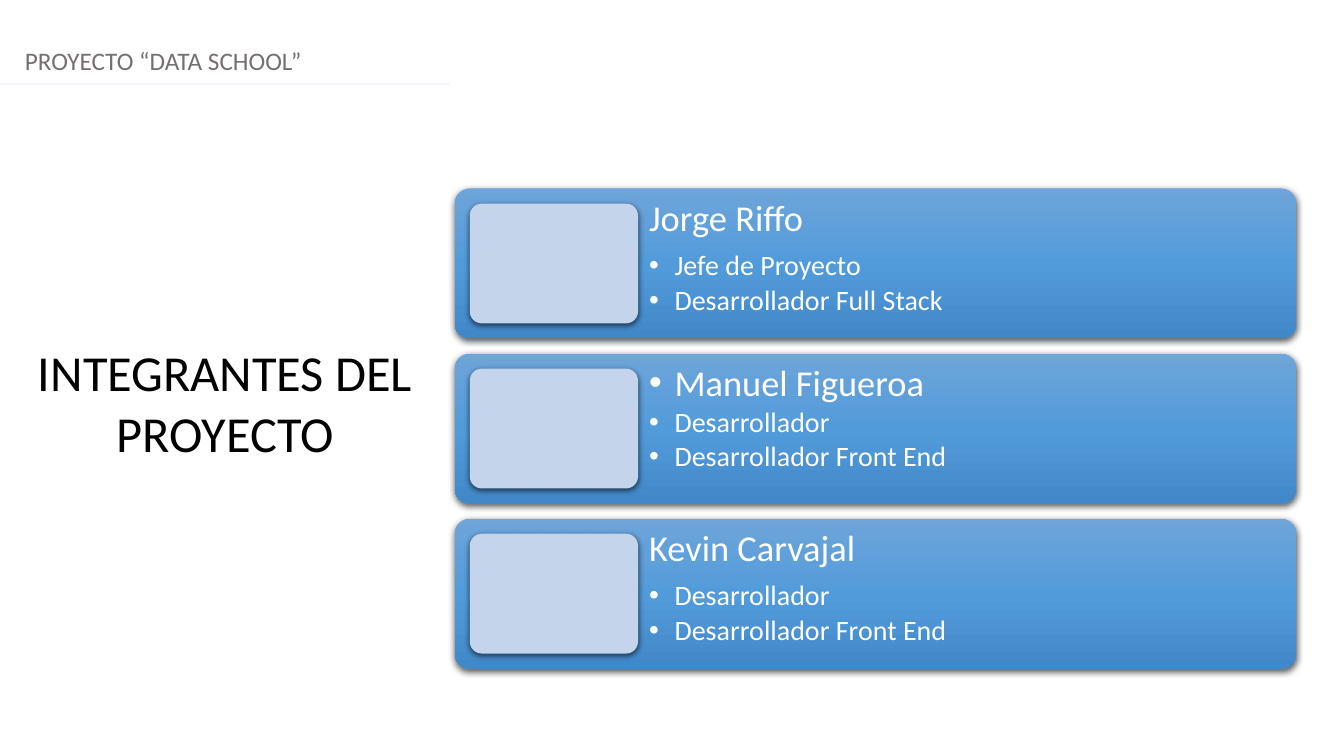
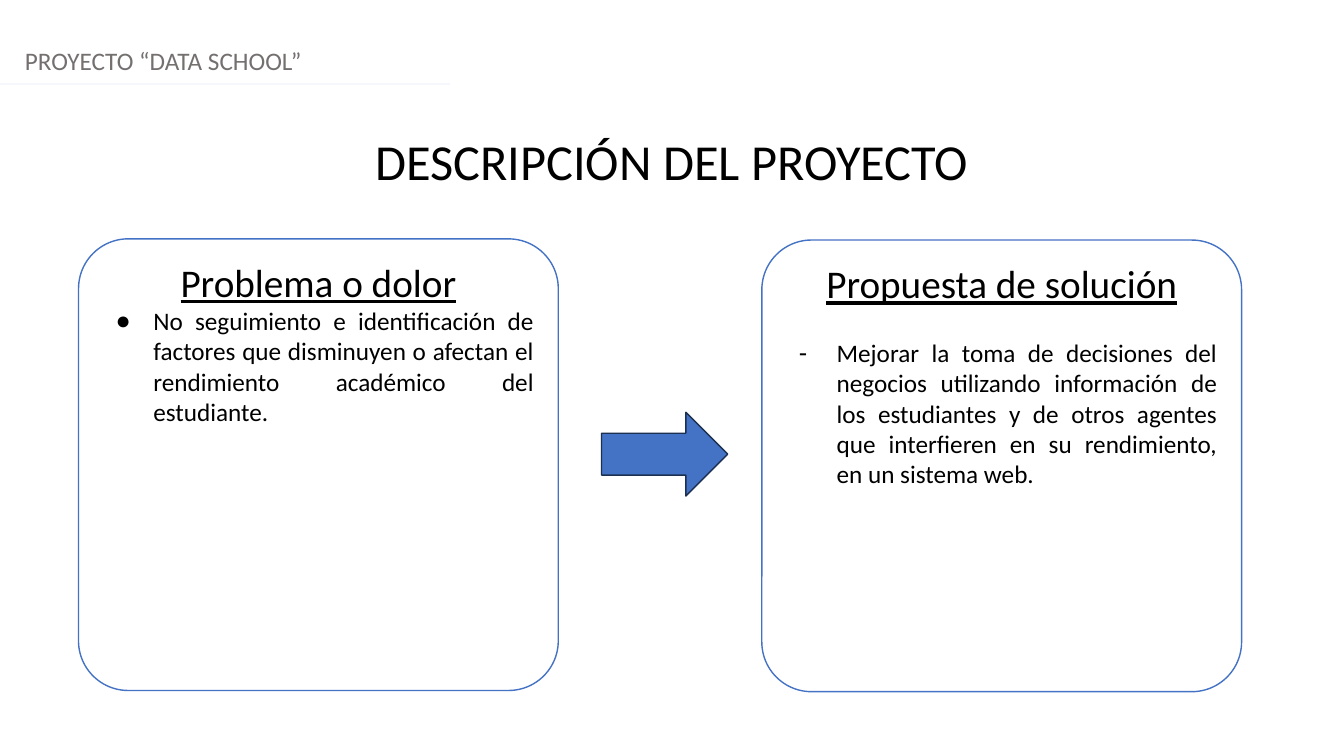
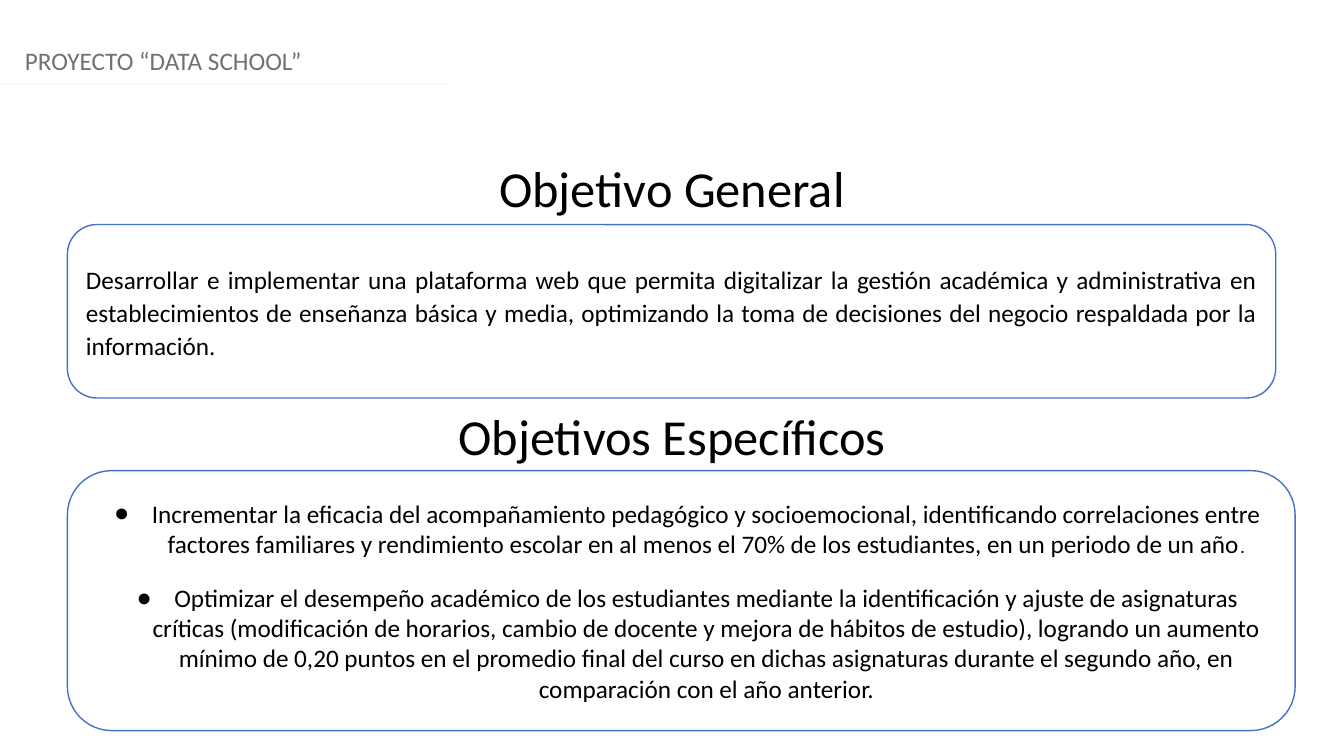
from lxml.etree import SubElement
from pptx import Presentation
from pptx.dml.color import RGBColor
from pptx.enum.shapes import MSO_CONNECTOR, MSO_SHAPE
from pptx.enum.text import MSO_ANCHOR, MSO_AUTO_SIZE, PP_ALIGN
from pptx.oxml.ns import qn
from pptx.util import Cm, Pt

HEX = {
    "ink": "000000", "white": "FFFFFF", "grey": "757070", "rule": "F5F7FC",
    "blue": "4472C4", "navy": "1C3052", "photo": "C3D4EB",
    "top": "6EA5DA", "mid": "529BDA", "low": "4188C8",
}
FONT = "Calibri"
HEAD = "PROYECTO “DATA SCHOOL”"
WIDE = 33.87

TEAM = [
    ("Jorge Riffo", False, ["Jefe de Proyecto", "Desarrollador Full Stack"]),
    ("Manuel Figueroa", True, ["Desarrollador", "Desarrollador Front End"]),
    ("Kevin Carvajal", False, ["Desarrollador", "Desarrollador Front End"]),
]
IDEAS = [
    ("Problema o dolor", "●", 0, (1.98, 6.02),
     "No seguimiento e identificación de factores que disminuyen o afectan "
     "el rendimiento académico del estudiante."),
    ("Propuesta de solución", "-", 22, (19.2, 6.05),
     "Mejorar la toma de decisiones del negocios utilizando información de "
     "los estudiantes y de otros agentes que interfieren en su rendimiento, "
     "en un sistema web."),
]
GOAL = (
    "Desarrollar e implementar una plataforma web que permita digitalizar la "
    "gestión académica y administrativa en establecimientos de enseñanza "
    "básica y media, optimizando la toma de decisiones del negocio "
    "respaldada por la información."
)
AIMS = [
    [("Incrementar la eficacia del acompañamiento pedagógico y "
      "socioemocional, identificando correlaciones entre factores familiares "
      "y rendimiento escolar en al menos el 70% de los estudiantes, en un "
      "periodo de un año", 18, FONT), (".", 14, "Arial")],
    [("Optimizar el desempeño académico de los estudiantes mediante la "
      "identificación y ajuste de asignaturas críticas (modificación de "
      "horarios, cambio de docente y mejora de hábitos de estudio), logrando "
      "un aumento mínimo de 0,20 puntos en el promedio final del curso en "
      "dichas asignaturas durante el segundo año, en comparación con el año "
      "anterior.", 18, FONT)],
]


def color(name):
    return RGBColor.from_string(HEX[name])


def place(box):
    return [Cm(n) for n in box]


def bullet(para, mark, tint, left, hang):
    props = para._p.get_or_add_pPr()
    props.set("marL", str(Cm(left)))
    props.set("indent", str(-Cm(hang)))
    SubElement(SubElement(props, qn("a:buClr")), qn("a:srgbClr"), val=HEX[tint])
    SubElement(props, qn("a:buFont"), typeface="Arial")
    SubElement(props, qn("a:buChar"), char=mark)


def write(frame, runs, tint="ink", align=PP_ALIGN.LEFT, mark=None,
          dent=(1.27, 0.95), before=0, line=1, under=False):
    para = frame.paragraphs[0]
    if para.runs:
        para = frame.add_paragraph()
    if mark:
        bullet(para, mark, tint, *dent)
    para.alignment = align
    para.line_spacing = line
    para.space_before = Pt(before)
    for text, size, face in runs:
        run = para.add_run()
        run.text = text
        run.font.size = Pt(size)
        run.font.name = face
        run.font.underline = under
        run.font.color.rgb = color(tint)
    return para


def label(slide, box, text, size, tint="ink", align=PP_ALIGN.LEFT):
    frame = slide.shapes.add_textbox(*place(box)).text_frame
    frame.word_wrap = True
    write(frame, [(text, size, FONT)], tint, align)


def shape(slide, kind, box, fill=None, line=None, adj=None):
    item = slide.shapes.add_shape(kind, *place(box))
    item.shadow.inherit = False
    if adj:
        item.adjustments[0] = adj
    if fill:
        item.fill.solid()
        item.fill.fore_color.rgb = color(fill)
    if line:
        item.line.color.rgb = color(line)
        item.line.width = Pt(1)
    else:
        item.line.fill.background()
    return item


def panel(slide, box, adj, anchor):
    item = shape(slide, MSO_SHAPE.ROUNDED_RECTANGLE, box, "white", "blue", adj)
    frame = item.text_frame
    frame.word_wrap = True
    frame.vertical_anchor = anchor
    return frame


def tile(slide, box, fill=None):
    item = shape(slide, MSO_SHAPE.ROUNDED_RECTANGLE, box, fill, adj=0.1)
    glow = item.element.spPr.find(qn("a:effectLst"))
    cast = SubElement(glow, qn("a:outerShdw"), blurRad=str(Pt(4.5)),
                      dist=str(Pt(1.5)), dir="5400000", algn="ctr",
                      rotWithShape="0")
    tone = SubElement(cast, qn("a:srgbClr"), val=HEX["ink"])
    SubElement(tone, qn("a:alpha"), val="63000")
    return item


def blend(item, names):
    item.fill.gradient()
    item.fill.gradient_angle = 270
    stops = item.element.spPr.find(qn("a:gradFill")).find(qn("a:gsLst"))
    for old in list(stops):
        stops.remove(old)
    for i, name in enumerate(names):
        stop = SubElement(stops, qn("a:gs"),
                          pos=str(100000 * i // (len(names) - 1)))
        SubElement(stop, qn("a:srgbClr"), val=HEX[name])


def start(deck, title, box):
    slide = deck.slides.add_slide(deck.slide_layouts[5])
    name = slide.shapes.title
    name.left, name.top, name.width, name.height = place(box)
    frame = name.text_frame
    frame.word_wrap = True
    frame.auto_size = MSO_AUTO_SIZE.NONE
    frame.vertical_anchor = MSO_ANCHOR.TOP
    write(frame, [(title, 36, FONT)], align=PP_ALIGN.CENTER)
    label(slide, (0.38, 1.02, 33.4, 1.02), HEAD, 18, "grey")
    rule = slide.shapes.add_connector(
        MSO_CONNECTOR.STRAIGHT, *place((0, 2.11, 11.35, 2.11)))
    rule.line.color.rgb = color("rule")
    rule.line.width = Pt(1.25)
    SubElement(rule.element.spPr, qn("a:effectLst"))
    return slide


def team(deck):
    slide = start(deck, "INTEGRANTES DEL PROYECTO", (0.66, 8.48, 10.03, 3.33))
    left, top, high, step, pad = 11.46, 4.75, 3.78, 4.16, 0.38
    for i, (name, dot, roles) in enumerate(TEAM):
        y = top + i * step
        card = tile(slide, (left, y, 21.21, high))
        blend(card, ["top", "mid", "low"])
        frame = card.text_frame
        frame.word_wrap = True
        frame.vertical_anchor = MSO_ANCHOR.TOP
        frame.margin_left = Cm(4.79)
        frame.margin_top = Cm(0.17)
        look = dict(tint="white", dent=(0.64, 0.64), line=0.9)
        write(frame, [(name, 26, FONT)], mark="•" if dot else None, **look)
        for j, role in enumerate(roles):
            gap = 3 if j or dot else 9.1
            write(frame, [(role, 20, FONT)], mark="•", before=gap, **look)
        tile(slide, (left + pad, y + pad, 4.24, high - 2 * pad), "photo")


def about(deck):
    slide = start(deck, "DESCRIPCIÓN DEL PROYECTO", (0, 3.15, WIDE, 1.8))
    for head, mark, gap, spot, text in IDEAS:
        frame = panel(slide, (*spot, 12.09, 11.38), 0.11, MSO_ANCHOR.TOP)
        write(frame, [(head, 28, FONT)], align=PP_ALIGN.CENTER, under=True)
        write(frame, [(text, 18, FONT)], align=PP_ALIGN.JUSTIFY, mark=mark,
              before=gap)
    shape(slide, MSO_SHAPE.RIGHT_ARROW, (15.16, 10.39, 3.18, 2.11),
          "blue", "navy")


def goals(deck):
    slide = start(deck, "Objetivo General", (0, 3.84, WIDE, 1.8))
    label(slide, (0, 10.08, WIDE, 1.8), "Objetivos Específicos", 36,
          align=PP_ALIGN.CENTER)
    frame = panel(slide, (1.7, 5.66, 30.45, 4.37), 0.17, MSO_ANCHOR.MIDDLE)
    para = write(frame, [(GOAL, 18, FONT)], align=PP_ALIGN.JUSTIFY, line=1.08)
    para.space_after = Pt(8)
    frame = panel(slide, (1.7, 11.86, 30.94, 6.55), 0.17, MSO_ANCHOR.MIDDLE)
    for i, runs in enumerate(AIMS):
        write(frame, runs, align=PP_ALIGN.CENTER, mark="●", before=17 * i)


def main():
    deck = Presentation()
    deck.slide_width = Cm(WIDE)
    deck.slide_height = Cm(19.05)
    for build in (team, about, goals):
        build(deck)
    deck.save("out.pptx")


if __name__ == "__main__":
    main()
